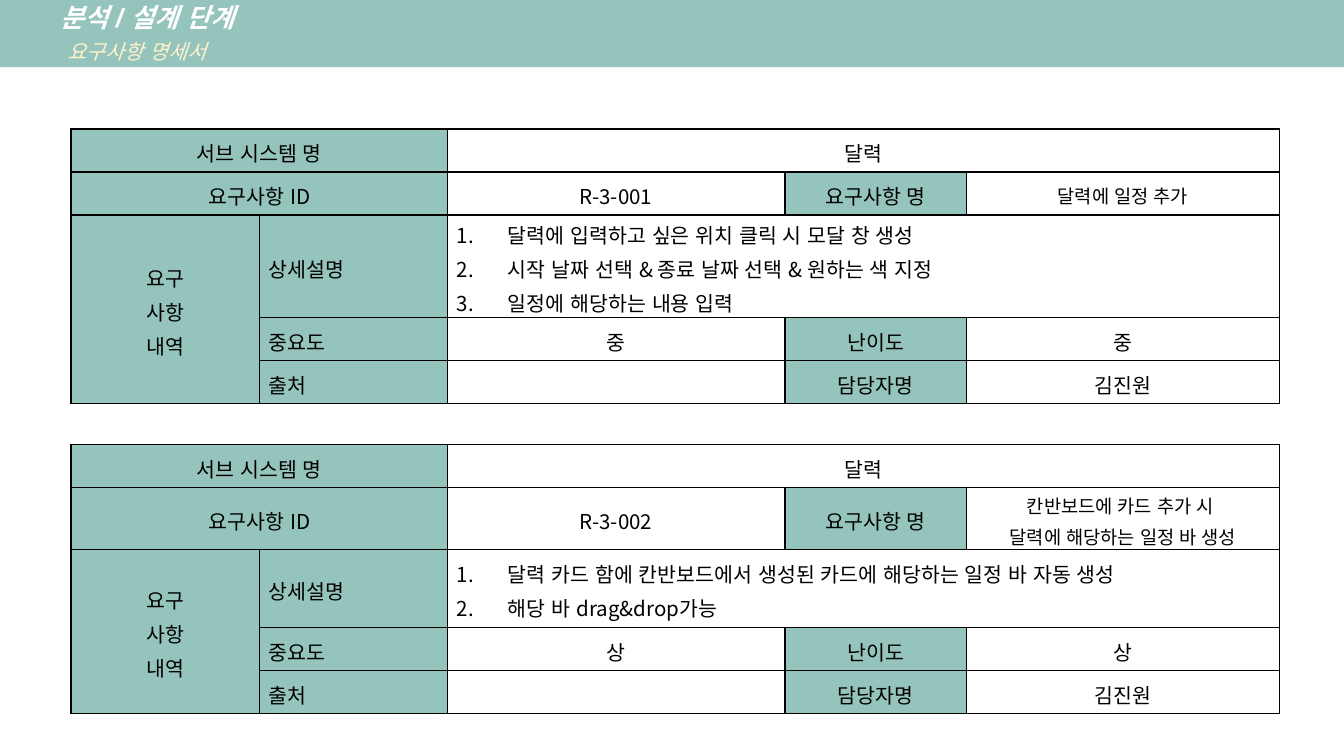
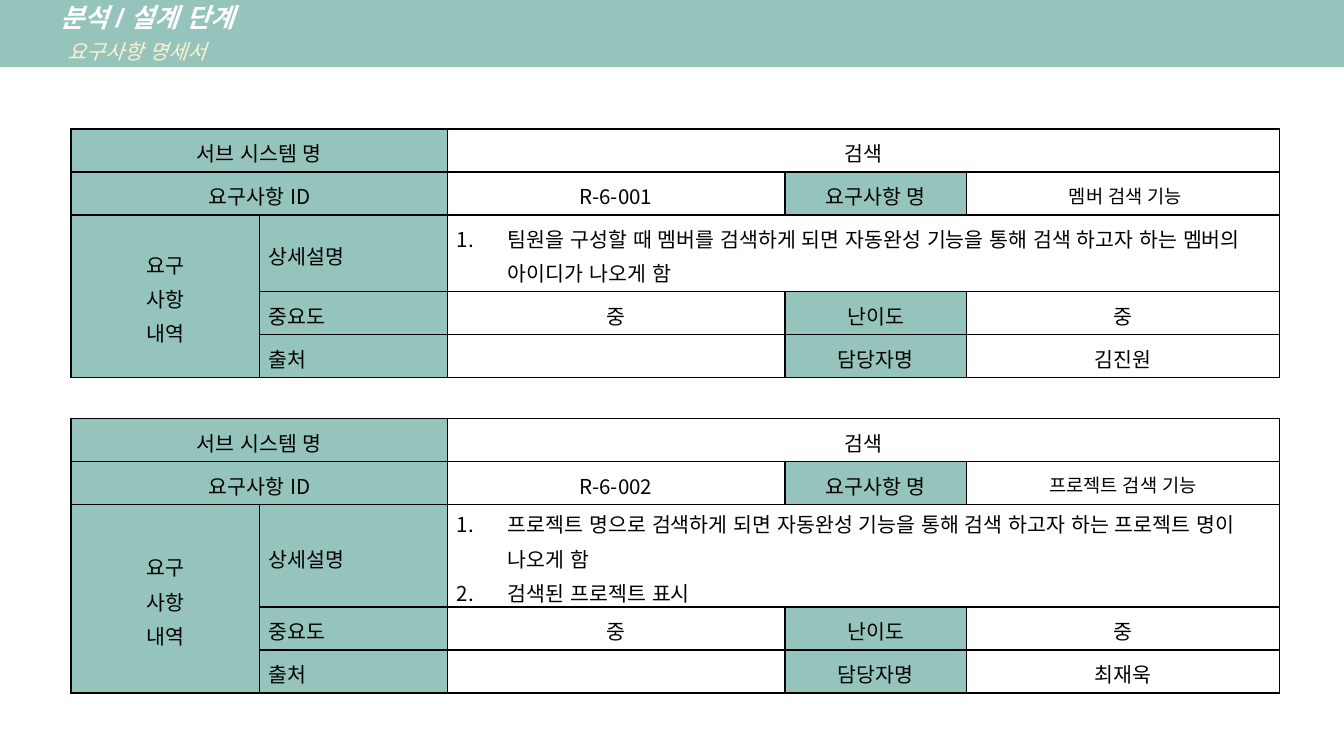
from dataclasses import dataclass

from lxml import etree
from pptx import Presentation
from pptx.dml.color import RGBColor
from pptx.enum.lang import MSO_LANGUAGE_ID
from pptx.enum.shapes import MSO_SHAPE
from pptx.enum.text import MSO_ANCHOR, PP_ALIGN
from pptx.oxml.ns import qn
from pptx.util import Inches, Pt

RECT = MSO_SHAPE.RECTANGLE
MIDDLE = MSO_ANCHOR.MIDDLE
LEFT, CENTER = PP_ALIGN.LEFT, PP_ALIGN.CENTER
KOREAN = MSO_LANGUAGE_ID.KOREAN


@dataclass(frozen=True)
class Theme:
    teal: str = "95C4BC"
    white: str = "FFFFFF"
    cream: str = "FFF2CC"
    black: str = "000000"
    title_font: str = "Arial"
    body_font: str = "Noto Sans CJK KR"
    title: int = 14
    body: int = 11
    small: int = 10
    border: int = 1


T = Theme()

# Grid: one table per 16:9 slide, two requirement blocks split by a gap row
W = 10
H = W * 9 / 16
LEFT_EDGE, TOP_EDGE = 0.53, 0.96
COLS = [1.4, 1.4, 2.51, 1.35, 2.33]
ROW, GAP = 0.32, 0.18
DETAIL = [0.57, 0.58]
ROWS = [ROW, ROW, DETAIL[0], ROW, ROW, GAP, ROW, ROW, DETAIL[1], ROW, ROW]
GAP_ROW = 5
BLOCK_STARTS = [0, GAP_ROW + 1]
INSET, INDENT = 0.07, 0.38

# Title band: runs of each paragraph as text, size, colour, bold
TITLES = [
    [("분석 / 설계 단계", T.title, T.white, True)],
    [(" ", T.title, T.white, True), ("요구사항 명세서", T.body, T.cream, False)],
]

# Block: subsystem, ID, name lines, description items, importance, difficulty, owner
SLIDES = [
    [
        ("달력", "R-3-001", ["달력에 일정 추가"],
         ["달력에 입력하고 싶은 위치 클릭 시 모달 창 생성",
          "시작 날짜 선택 & 종료 날짜 선택 & 원하는 색 지정",
          "일정에 해당하는 내용 입력"],
         "중", "중", "김진원"),
        ("달력", "R-3-002", ["칸반보드에 카드 추가 시 ", "달력에 해당하는 일정 바 생성"],
         ["달력 카드 함에 칸반보드에서 생성된 카드에 해당하는 일정 바 자동 생성",
          "해당 바 drag&drop가능"],
         "상", "상", "김진원"),
    ],
    [
        ("검색", "R-6-001", [" 멤버 검색 기능"],
         ["팀원을 구성할 때 멤버를 검색하게 되면 자동완성 기능을 통해 "
          "검색 하고자 하는 멤버의 아이디가 나오게 함"],
         "중", "중", "김진원"),
        ("검색", "R-6-002", ["프로젝트 검색 기능"],
         ["프로젝트 명으로 검색하게 되면 자동완성 기능을 통해 "
          "검색 하고자 하는 프로젝트 명이 나오게 함",
          "검색된 프로젝트 표시"],
         "중", "중", "최재욱"),
    ],
]


def add_run(p, text, size, font, color, bold=False, italic=False):
    r = p.add_run()
    r.text = text
    r.font.size = Pt(size)
    r.font.name = font
    r.font.language_id = KOREAN
    r.font.bold, r.font.italic = bold, italic
    r.font.color.rgb = RGBColor.from_string(color)
    if font == T.body_font:
        r.font._element.find(qn("a:latin")).addnext(
            etree.Element(qn("a:ea"), typeface=font))


def set_borders(cell, sides):
    tcPr = cell._tc.get_or_add_tcPr()
    for side in "LRTB":
        ln = etree.SubElement(tcPr, qn(f"a:ln{side}"), w=str(Pt(T.border)))
        if side in sides:
            fill = etree.SubElement(ln, qn("a:solidFill"))
            etree.SubElement(fill, qn("a:srgbClr"), val=T.black)
        else:
            etree.SubElement(ln, qn("a:noFill"))


prs = Presentation()
prs.slide_width, prs.slide_height = Inches(W), Inches(H)

for blocks in SLIDES:
    s = prs.slides.add_slide(prs.slide_layouts[6])

    # Title band
    sp = s.shapes.add_shape(RECT, 0, Inches(-0.01), Inches(W), Inches(0.51))
    sp.shadow.inherit = False
    sp.fill.solid()
    sp.fill.fore_color.rgb = RGBColor.from_string(T.teal)
    sp.line.fill.background()
    tf = sp.text_frame
    tf.word_wrap = True
    tf.vertical_anchor = MIDDLE
    tf.margin_left = tf.margin_right = Inches(INSET)
    tf.margin_top = tf.margin_bottom = Inches(0.04)
    for i, runs in enumerate(TITLES):
        p = tf.add_paragraph() if i else tf.paragraphs[0]
        p.alignment = LEFT
        p.level = 1
        pPr = p._p.get_or_add_pPr()
        pPr.set("marL", str(Inches(INDENT)))
        pPr.set("indent", "0")
        for text, size, color, bold in runs:
            add_run(p, text, size, T.title_font, color, bold, italic=True)

    # Empty table grid
    tbl = s.shapes.add_table(len(ROWS), len(COLS), Inches(LEFT_EDGE), Inches(TOP_EDGE),
                             Inches(sum(COLS)), Inches(sum(ROWS))).table
    tbl.first_row = tbl.horz_banding = False
    for col, width in zip(tbl.columns, COLS):
        col.width = Inches(width)
    for i, height in enumerate(ROWS):
        tbl.rows[i].height = Inches(height)
        for cell in tbl.rows[i].cells:
            set_borders(cell, "TB" if i == GAP_ROW else "LRTB")
            cell.fill.solid()
            cell.fill.fore_color.rgb = RGBColor.from_string(T.white)
            cell.vertical_anchor = MIDDLE
            cell.margin_left = cell.margin_right = Inches(INSET)
            cell.margin_top = cell.margin_bottom = 0
    tbl.cell(GAP_ROW, 0).merge(tbl.cell(GAP_ROW, len(COLS) - 1))

    # Requirement blocks
    for top, block in zip(BLOCK_STARTS, blocks):
        system, req_id, name, details, importance, difficulty, owner = block
        # row, column, row span, column span, style, paragraphs
        cells = [
            (0, 0, 1, 2, "label", ["서브 시스템 명"]),
            (0, 2, 1, 3, "value", [system]),
            (1, 0, 1, 2, "label", ["요구사항 ID"]),
            (1, 2, 1, 1, "value", [req_id]),
            (1, 3, 1, 1, "label", ["요구사항 명"]),
            (1, 4, 1, 1, "name", name),
            (2, 0, 3, 1, "label", ["요구\n사항\n내역"]),
            (2, 1, 1, 1, "side label", ["상세설명"]),
            (2, 2, 1, 3, "list", details),
            (3, 1, 1, 1, "side label", ["중요도"]),
            (3, 2, 1, 1, "value", [importance]),
            (3, 3, 1, 1, "label", ["난이도"]),
            (3, 4, 1, 1, "value", [difficulty]),
            (4, 1, 1, 1, "side label", ["출처"]),
            (4, 3, 1, 1, "label", ["담당자명"]),
            (4, 4, 1, 1, "value", [owner]),
        ]
        for row, col, height, width, style, paragraphs in cells:
            cell = tbl.cell(top + row, col)
            if height * width > 1:
                cell.merge(tbl.cell(top + row + height - 1, col + width - 1))
            if style.endswith("label"):
                cell.fill.fore_color.rgb = RGBColor.from_string(T.teal)
            tf = cell.text_frame
            for i, text in enumerate(paragraphs):
                p = tf.add_paragraph() if i else tf.paragraphs[0]
                p.alignment = LEFT if style in ("side label", "list") else CENTER
                p.line_spacing = 1.15
                if style == "list":
                    pPr = p._p.get_or_add_pPr()
                    pPr.set("marL", str(Inches(INDENT)))
                    pPr.set("indent", str(Inches(-INDENT)))
                    etree.SubElement(pPr, qn("a:buAutoNum"), type="arabicPeriod")
                size = T.small if style == "name" else T.body
                for j, line in enumerate(text.split("\n")):
                    if j:
                        p.add_line_break()
                    add_run(p, line, size, T.body_font, T.black)

prs.save("out.pptx")
